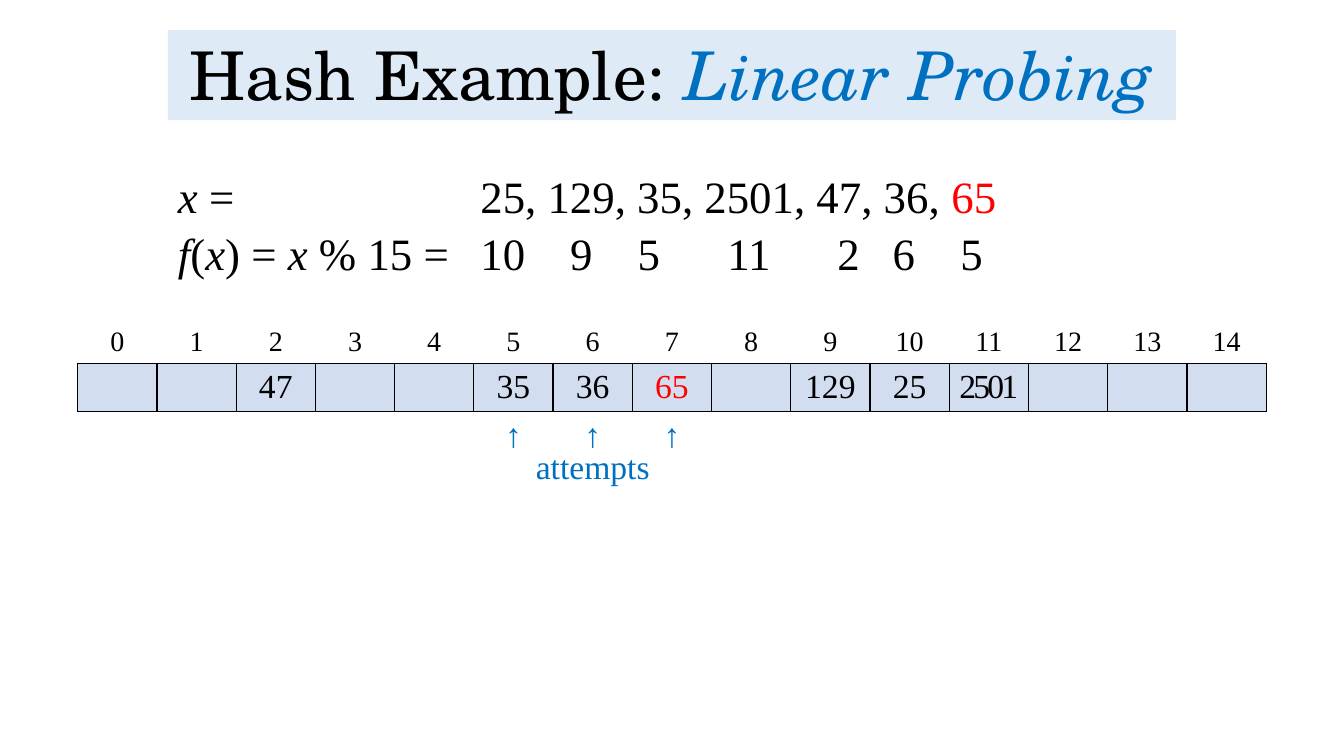
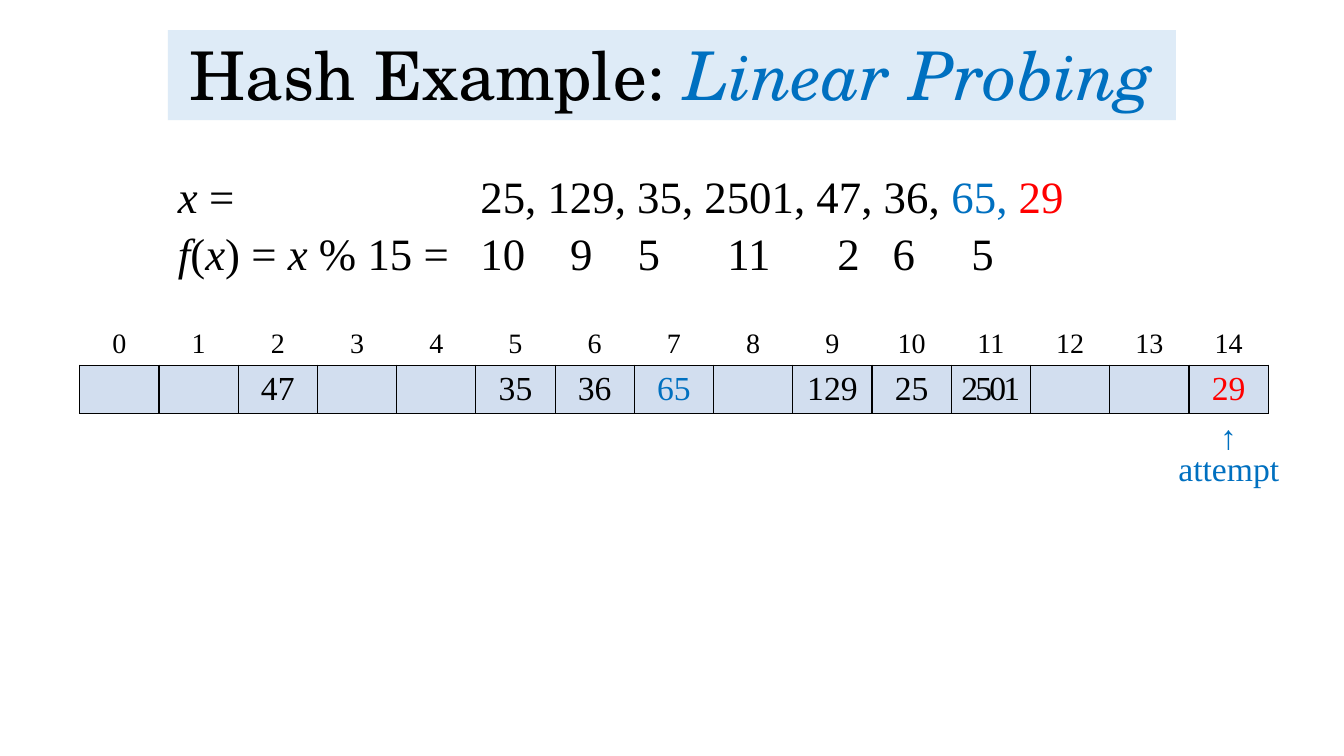
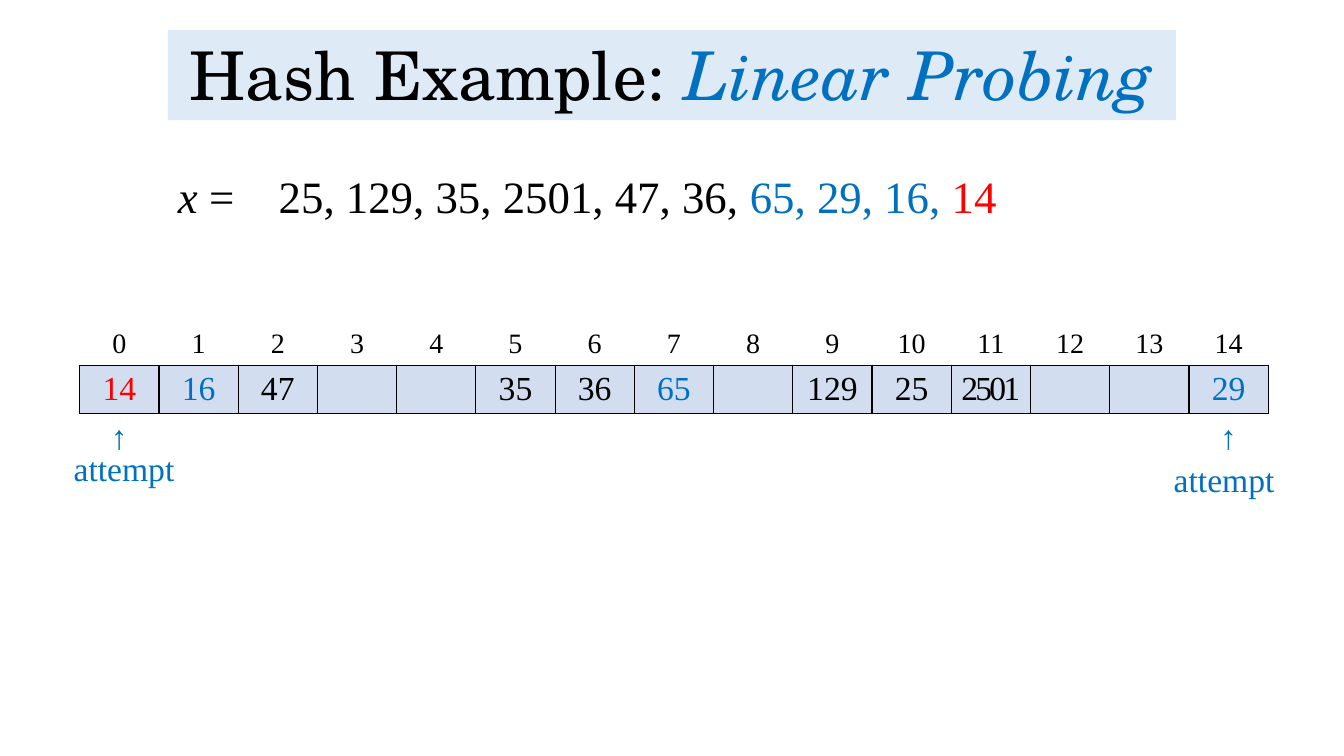
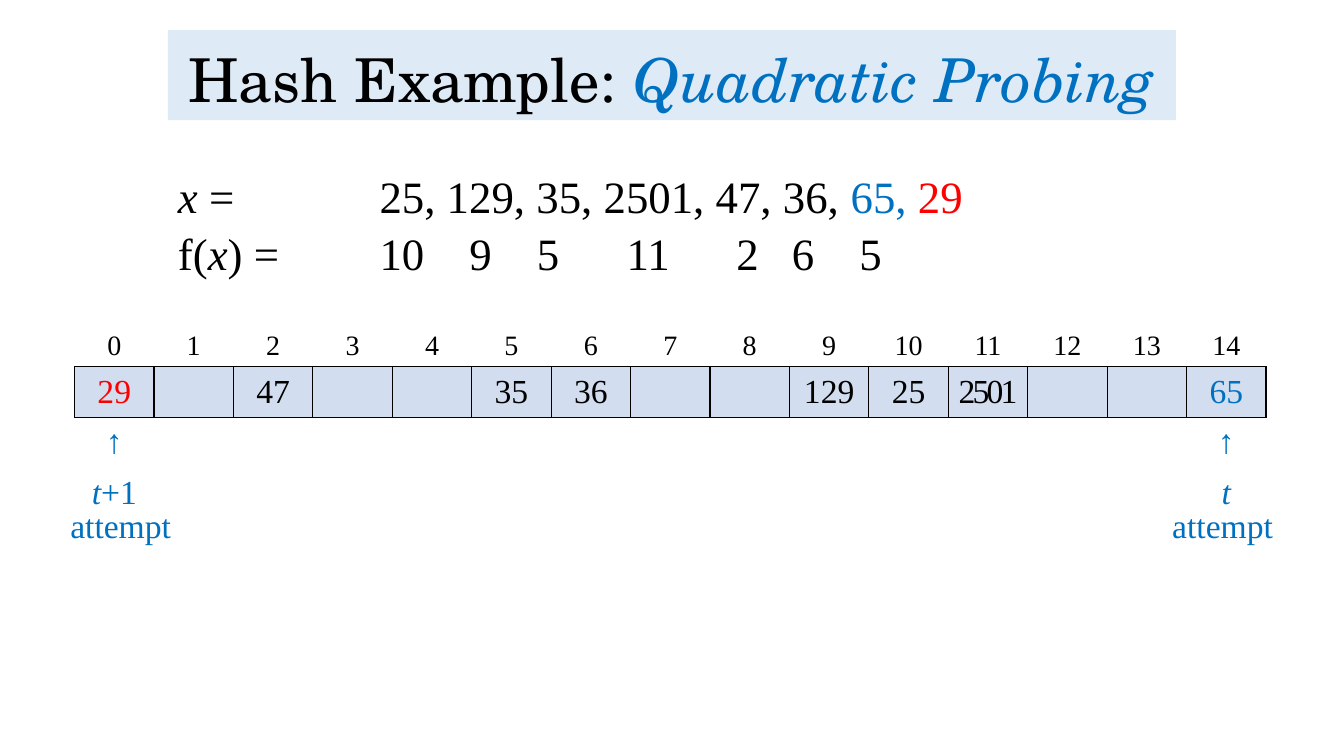
import pptx
import pptx.dml.color
import pptx.enum.text
import pptx.oxml
import pptx.oxml.ns
import pptx.util

BLACK, BLUE, RED = "000000", "0070C0", "FF0000"
BAND_FILL, CELL_FILL = "DEEBF7", "D2DEEF"
TITLE_FONT, BODY_FONT = "TeX Gyre Schola", "Times New Roman"
PLAIN_TABLE_STYLE = "{2D5ABB26-0587-4C30-8999-92F81FD0307C}"
SLOTS = 15
ARROW = "↑"
KEYS = "25, 129, 35, 2501, 47, 36, "
HASHES = "10\t9\t5\t11\t2\t6\t5"
HASH_OFFSETS = (0.89, 1.56, 2.45, 3.54, 4.09)
STORED = {2: "47", 5: "35", 6: "36", 9: "129", 10: "25", 11: "2501"}
CENTER = pptx.enum.text.PP_ALIGN.CENTER

presentation = pptx.Presentation()
presentation.slide_width = pptx.util.Inches(13.33)
presentation.slide_height = pptx.util.Inches(7.5)


def across(percent):
    return round(presentation.slide_width * percent / 100)


def down(percent):
    return round(presentation.slide_height * percent / 100)


def box_of(left, top, width, height):
    return across(left), down(top), across(width), down(height)


TITLE_BOX = box_of(12.5, 4, 75, 11.9)
KEYS_BOX = box_of(12.5, 21.33, 75, 20)


def color(value):
    return pptx.dml.color.RGBColor.from_string(value)


def write_runs(paragraph, runs, size, font=BODY_FONT):
    for text, run_color, italic in runs:
        run = paragraph.add_run()
        run.text = text
        run.font.size = pptx.util.Pt(size)
        run.font.name = font
        run.font.italic = italic
        run.font.color.rgb = color(run_color)


def set_tab_stops(paragraph, inches):
    namespace = pptx.oxml.ns.nsdecls("a")
    stops = "".join(
        f'<a:tab pos="{pptx.util.Inches(stop)}" algn="l"/>' for stop in inches
    )
    properties = paragraph._p.get_or_add_pPr()
    properties.append(pptx.oxml.parse_xml(f"<a:tabLst {namespace}>{stops}</a:tabLst>"))


def add_title(slide, box, method, size):
    title = slide.shapes.title
    title.left, title.top, title.width, title.height = box
    title.fill.solid()
    title.fill.fore_color.rgb = color(BAND_FILL)
    frame = title.text_frame
    frame.word_wrap = True
    frame.auto_size = pptx.enum.text.MSO_AUTO_SIZE.NONE
    frame.vertical_anchor = pptx.enum.text.MSO_ANCHOR.BOTTOM
    paragraph = frame.paragraphs[0]
    paragraph.alignment = CENTER
    paragraph.line_spacing = 0.9
    runs = [("Hash Example: ", BLACK, False), (method, BLUE, True)]
    write_runs(paragraph, runs, size, TITLE_FONT)


def add_keys(slide, box, start, new_keys, function_runs, last_offset):
    frame = slide.shapes.add_textbox(*box).text_frame
    frame.word_wrap = True
    key_runs = [("x", BLACK, True), (" =\t" + KEYS, BLACK, False)]
    key_runs += [(text, key_color, False) for text, key_color in new_keys]
    lines = [key_runs]
    if function_runs:
        lines.append(function_runs + [("\t" + HASHES, BLACK, False)])
    stops = [start] + [start + offset for offset in HASH_OFFSETS + (last_offset,)]
    for index, runs in enumerate(lines):
        paragraph = frame.add_paragraph() if index else frame.paragraphs[0]
        paragraph.line_spacing = 1.05
        set_tab_stops(paragraph, stops)
        write_runs(paragraph, runs, 32)


def add_border(cell):
    properties = cell._tc.get_or_add_tcPr()
    namespace = pptx.oxml.ns.nsdecls("a")
    for position, side in enumerate(("lnL", "lnR", "lnT", "lnB")):
        line = pptx.oxml.parse_xml(
            f'<a:{side} {namespace} w="{pptx.util.Pt(1)}"><a:solidFill>'
            f'<a:srgbClr val="{BLACK}"/></a:solidFill></a:{side}>'
        )
        properties.insert(position, line)


def add_hash_table(slide, box, row_heights, rows):
    table = slide.shapes.add_table(len(rows), SLOTS, *box).table
    table.first_row = table.horz_banding = False
    style = table._tbl.tblPr.find(pptx.oxml.ns.qn("a:tableStyleId"))
    style.text = PLAIN_TABLE_STYLE
    for column in table.columns:
        column.width = round(box[2] / SLOTS)
    for row_index, contents in enumerate(rows):
        table.rows[row_index].height = down(row_heights[row_index])
        for slot in range(SLOTS):
            cell = table.cell(row_index, slot)
            cell.margin_top = cell.margin_bottom = pptx.util.Inches(0.04)
            cell.margin_left = cell.margin_right = pptx.util.Inches(0.05)
            cell.vertical_anchor = pptx.enum.text.MSO_ANCHOR.MIDDLE
            cell.fill.background()
            if row_index == 1:
                cell.fill.solid()
                cell.fill.fore_color.rgb = color(CELL_FILL)
                add_border(cell)
            paragraph = cell.text_frame.paragraphs[0]
            paragraph.alignment = CENTER
            write_runs(paragraph, contents.get(slot, []), 24 if row_index else 20)
            for run in paragraph.runs:
                if len(run.text) == 4:
                    run.font._element.set("spc", "-200")


def add_attempt_label(slide, table_box, slot, top, text):
    width, height = across(13.65), down(6.67)
    center = table_box[0] + table_box[2] * (slot + 0.5) / SLOTS
    label = slide.shapes.add_textbox(
        round(center - width / 2), down(top), width, height
    )
    frame = label.text_frame
    frame.word_wrap = True
    paragraph = frame.paragraphs[0]
    paragraph.alignment = CENTER
    write_runs(paragraph, [(text, BLUE, False)], 24)


def add_example(method, title_size, start, new_keys, function_runs, table_box,
                row_heights, inserted, arrows, labels, last_offset=4.76, attempts=None):
    slide = presentation.slides.add_slide(presentation.slide_layouts[5])
    add_title(slide, TITLE_BOX, method, title_size)
    add_keys(slide, KEYS_BOX, start, new_keys, function_runs, last_offset)
    stored = {slot: [(text, BLACK, False)] for slot, text in STORED.items()}
    for slot, (text, key_color) in inserted.items():
        stored[slot] = [(text, key_color, False)]
    rows = [
        {slot: [(str(slot), BLACK, False)] for slot in range(SLOTS)},
        stored,
        {slot: [(ARROW, BLUE, False)] for slot in arrows},
    ]
    if attempts:
        rows.append(attempts)
    add_hash_table(slide, table_box, row_heights, rows)
    for slot, top, text in labels:
        add_attempt_label(slide, table_box, slot, top, text)


LINEAR, QUADRATIC = ("Linear Probing", 48), ("Quadratic Probing", 43.2)
MODULO = [("f", BLACK, True), ("(", BLACK, False), ("x", BLACK, True),
          (") = ", BLACK, False), ("x", BLACK, True), (" % 15 =", BLACK, False)]
UNSPECIFIED = [("f(", BLACK, False), ("x", BLACK, True), (") =", BLACK, False)]
SHORT_ROWS = (5.33, 6.33, 6.33)
TALL_ROWS = (5.6, 6.67, 6.67, 6.67)
FIRST_TABLE = box_of(5.78, 42.53, 88.45, 18)
NEXT_TABLE = box_of(5.93, 42.8, 88.45, 18)
QUADRATIC_TABLE = box_of(5.55, 42.93, 88.67, 25.6)

add_example(
    *LINEAR, 3, [("65", RED)], MODULO, FIRST_TABLE, SHORT_ROWS,
    {7: ("65", RED)}, (5, 6, 7), [(6, 58.27, "attempts")],
)
add_example(
    *LINEAR, 3, [("65, ", BLUE), ("29", RED)], MODULO, NEXT_TABLE, SHORT_ROWS,
    {7: ("65", BLUE), 14: ("29", RED)}, (14,), [(14, 58.53, "attempt")],
    last_offset=4.87,
)
add_example(
    *LINEAR, 1, [("65, 29, 16, ", BLUE), ("14", RED)], None, NEXT_TABLE, SHORT_ROWS,
    {0: ("14", RED), 1: ("16", BLUE), 7: ("65", BLUE), 14: ("29", BLUE)}, (0, 14),
    [(0.06, 58.53, "attempt"), (13.94, 60, "attempt")],
)
add_example(
    *QUADRATIC, 2, [("65, ", BLUE), ("29", RED)], UNSPECIFIED, QUADRATIC_TABLE,
    TALL_ROWS, {0: ("29", RED), 14: ("65", BLUE)}, (0, 14),
    [(13.95, 66.13, "attempt"), (0.08, 66.13, "attempt")],
    attempts={0: [("t", BLUE, True), ("+1", BLUE, False)], 14: [("t", BLUE, True)]},
)

presentation.save("out.pptx")
